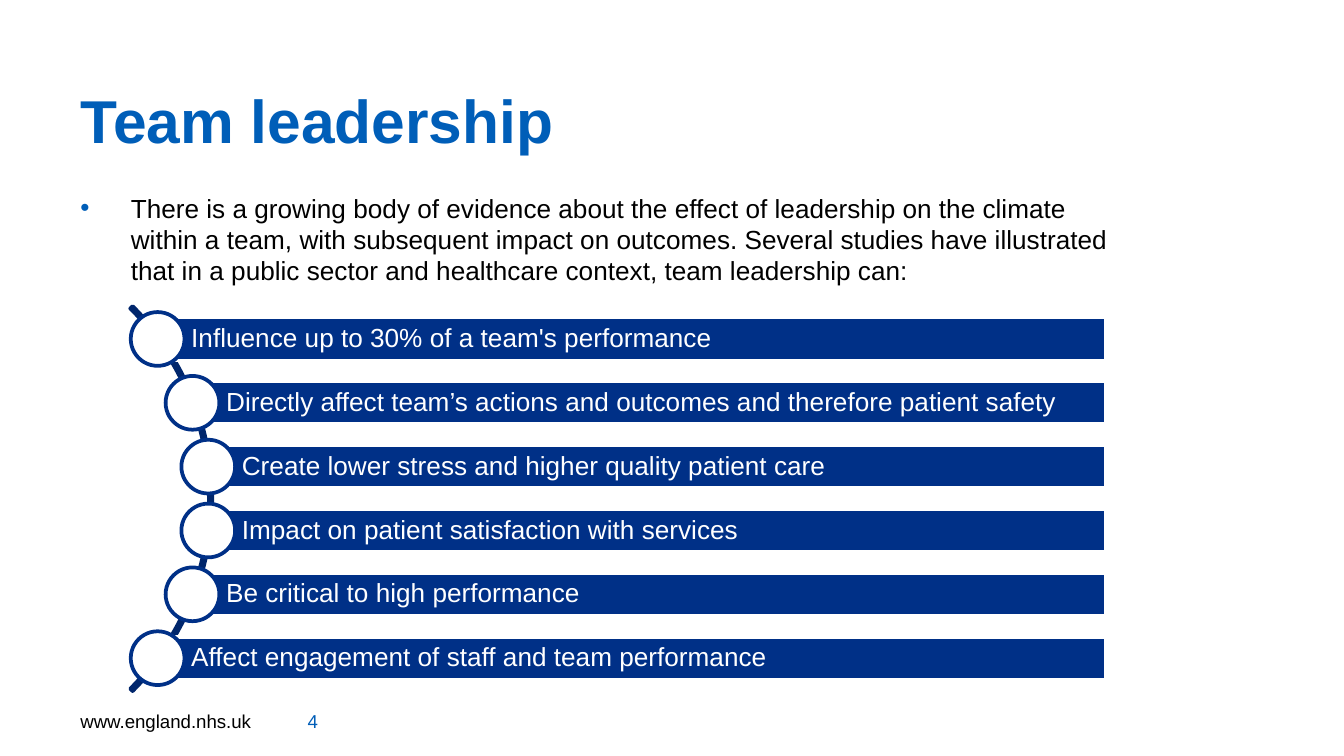
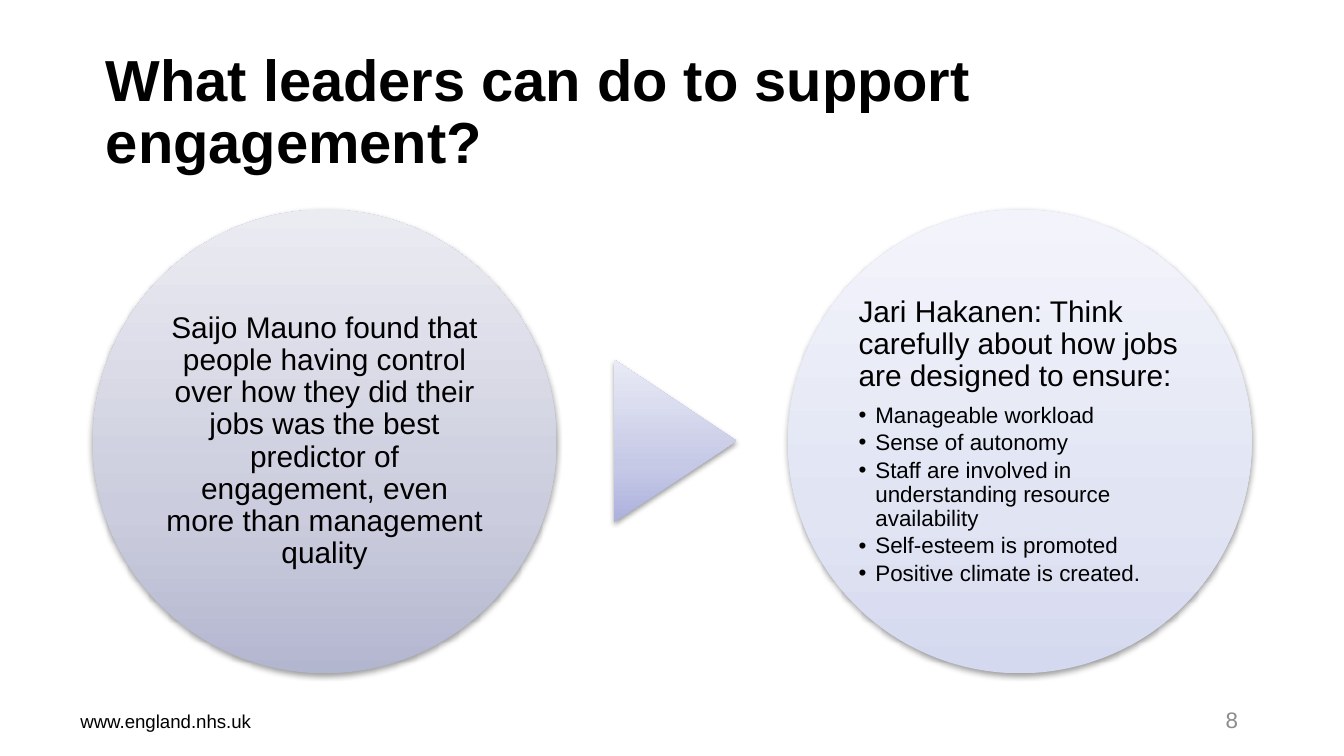
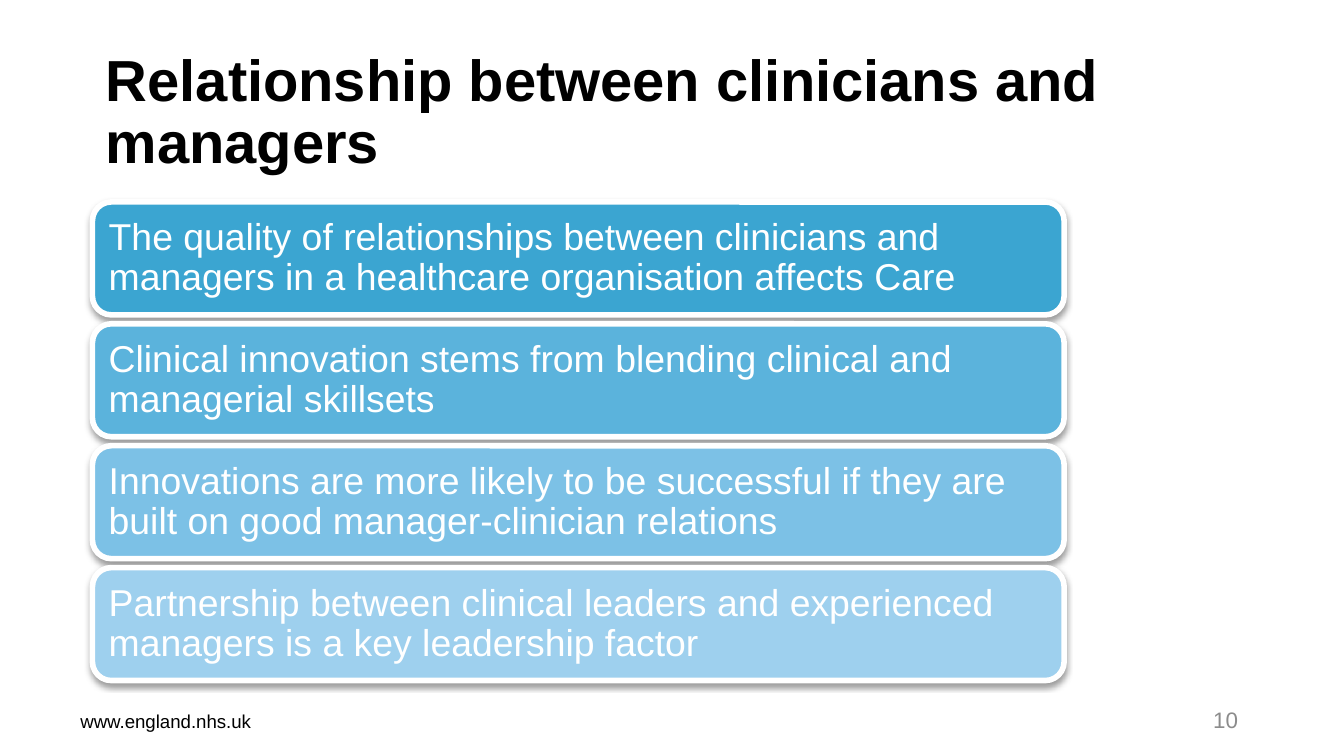
"""Build three slides on team leadership, engagement and clinician-manager relations."""
import dataclasses
import math

import lxml.etree
import pptx
import pptx.dml.color
import pptx.enum.shapes
import pptx.enum.text
import pptx.oxml
import pptx.oxml.ns
import pptx.util

SHAPES = pptx.enum.shapes.MSO_SHAPE
ALIGN = pptx.enum.text.PP_ALIGN
ANCHOR = pptx.enum.text.MSO_ANCHOR
SLIDE_WIDTH = pptx.util.Inches(10)
SLIDE_HEIGHT = pptx.util.Emu(SLIDE_WIDTH * 9 // 16)
COLUMNS = 100
TITLE_ONLY = 5


@dataclasses.dataclass(frozen=True)
class Theme:
    """Colours and type sizes of the deck."""
    font: str = "Arial"
    black: str = "000000"
    white: str = "FFFFFF"
    blue: str = "005EB8"
    navy: str = "003087"
    arc: str = "00266C"
    grey: str = "8C8C8C"
    slate: tuple = ("B3B6CF", "CBCCDD", "EBECF2")
    lilac: tuple = ("ACB1DD", "C6C9E6", "E9EAF6")
    mist: tuple = ("D5D9EF", "E1E4F3", "F3F4FB")
    steps: tuple = ("3BA5D1", "5BB3DC", "7CC1E6", "9ED0EE")
    lead_title: float = 32.4
    title: float = 31
    panel: float = 20
    circle: float = 16
    body: float = 14
    detail: float = 12
    footer: float = 10


THEME = Theme()


def grid(columns):
    """Turn grid columns, each a hundredth of the slide's width, into a length."""
    return pptx.util.Emu(round(SLIDE_WIDTH * columns / COLUMNS))


def rgb(colour):
    """Turn a hex string into a colour."""
    return pptx.dml.color.RGBColor.from_string(colour)


def style_paragraph(paragraph, size, colour, align=ALIGN.LEFT, spacing=None, bold=False):
    """Set the alignment, line spacing and font of a paragraph."""
    paragraph.alignment = align
    if spacing:
        paragraph.line_spacing = spacing
    font = paragraph.font
    font.name, font.size, font.bold = THEME.font, pptx.util.Pt(size), bold
    font.color.rgb = rgb(colour)


def add_bullet(paragraph, indent, colour):
    """Give a paragraph a hanging bullet."""
    properties = paragraph._p.get_or_add_pPr()
    properties.set("marL", str(grid(indent)))
    properties.set("indent", str(-grid(indent)))
    bullet_colour = lxml.etree.SubElement(properties, pptx.oxml.ns.qn("a:buClr"))
    lxml.etree.SubElement(bullet_colour, pptx.oxml.ns.qn("a:srgbClr"), val=colour)
    lxml.etree.SubElement(properties, pptx.oxml.ns.qn("a:buFont"), typeface=THEME.font)
    lxml.etree.SubElement(properties, pptx.oxml.ns.qn("a:buChar"), char="•")


def set_frame(shape, text, insets=(1, 0.5, 1, 0.5), anchor=ANCHOR.MIDDLE):
    """Fill a shape's text frame and return its first paragraph."""
    frame = shape.text_frame
    frame.word_wrap = True
    frame.auto_size = pptx.enum.text.MSO_AUTO_SIZE.NONE
    frame.vertical_anchor = anchor
    (frame.margin_left, frame.margin_top,
     frame.margin_right, frame.margin_bottom) = map(grid, insets)
    frame.text = text
    return frame.paragraphs[0]


def add_text(slide, box, text, anchor=ANCHOR.MIDDLE):
    """Add a text box and return its first paragraph."""
    return set_frame(slide.shapes.add_textbox(*map(grid, box)), text, anchor=anchor)


def add_shape(slide, kind, box, fill=None, line=None, line_width=2):
    """Add a flat preset shape."""
    shape = slide.shapes.add_shape(kind, *map(grid, box))
    shape.shadow.inherit = False
    if fill:
        shape.fill.solid()
        shape.fill.fore_color.rgb = rgb(fill)
    else:
        shape.fill.background()
    if line:
        shape.line.color.rgb = rgb(line)
        shape.line.width = pptx.util.Pt(line_width)
    else:
        shape.line.fill.background()
    return shape


def add_shadow(shape):
    """Give a shape a soft shadow below it."""
    effects = shape._element.spPr.find(pptx.oxml.ns.qn("a:effectLst"))
    effects.append(pptx.oxml.parse_xml(
        f'<a:outerShdw {pptx.oxml.ns.nsdecls("a")} blurRad="{pptx.util.Pt(3.1)}" '
        f'dist="{pptx.util.Pt(1.6)}" dir="5400000" rotWithShape="0">'
        f'<a:srgbClr val="{THEME.black}"><a:alpha val="38000"/></a:srgbClr></a:outerShdw>'))


def add_gradient_shape(slide, kind, box, colours):
    """Add a shadowed shape shaded from bottom to top."""
    shape = add_shape(slide, kind, box)
    stops = "".join(f'<a:gs pos="{share * 1000}"><a:srgbClr val="{colour}"/></a:gs>'
                    for share, colour in zip((0, 35, 100), colours))
    properties = shape._element.spPr
    properties.replace(properties.find(pptx.oxml.ns.qn("a:noFill")), pptx.oxml.parse_xml(
        f'<a:gradFill {pptx.oxml.ns.nsdecls("a")} rotWithShape="0"><a:gsLst>{stops}</a:gsLst>'
        '<a:lin ang="16200000" scaled="0"/></a:gradFill>'))
    add_shadow(shape)
    return shape


def add_slide(presentation, title, box=(6.88, 3, 86.25, 10.9), size=THEME.title,
              colour=THEME.black, spacing=0.9):
    """Add a slide with its title and the web address in the footer."""
    slide = presentation.slides.add_slide(presentation.slide_layouts[TITLE_ONLY])
    heading = slide.shapes.title
    heading.left, heading.top, heading.width, heading.height = map(grid, box)
    style_paragraph(set_frame(heading, title), size, colour, spacing=spacing, bold=True)
    address = add_text(slide, (5, 52.15, 23.3, 3), "www.england.nhs.uk")
    style_paragraph(address, THEME.footer, THEME.black)
    return slide


def add_number(slide, number):
    """Add a grey slide number at the right."""
    paragraph = add_text(slide, (70.6, 52.15, 22.5, 3), number)
    style_paragraph(paragraph, THEME.detail, THEME.grey, ALIGN.RIGHT, 0.9)


def add_curved_list(slide, items):
    """Add bars whose round markers follow an arc."""
    arc_size, arc_left, arc_top = 40.5, -24.7, 16.85
    arc = add_shape(slide, SHAPES.BLOCK_ARC, (arc_left, arc_top, arc_size, arc_size),
                    line=THEME.arc)
    for index, value in enumerate((189, 27, 0.006)):
        arc.adjustments[index] = value
    centre_x, centre_y, radius = -4.36, arc_top + arc_size / 2, 20
    pitch, bar_height, marker, right = 4.75, 3.2, 4, 82.3
    for index, item in enumerate(items):
        offset = (index - (len(items) - 1) / 2) * pitch
        x = centre_x + math.sqrt(radius ** 2 - offset ** 2)
        y = centre_y + offset
        bar = add_shape(slide, SHAPES.RECTANGLE,
                        (x, y - bar_height / 2, right - x, bar_height),
                        THEME.navy, THEME.white)
        style_paragraph(set_frame(bar, item, (2.5, 0.4, 0.4, 0.4)),
                        THEME.body, THEME.white, spacing=0.9)
        add_shape(slide, SHAPES.OVAL, (x - marker / 2, y - marker / 2, marker, marker),
                  THEME.white, THEME.navy)


def add_circle(slide, left, colours, text, align, details=()):
    """Add a large shaded circle with a statement and bulleted details."""
    circle = add_gradient_shape(slide, SHAPES.OVAL, (left, 15.6, 34.5, 34.5), colours)
    statement = set_frame(circle, text, (0.2, 0.2, 0.2, 0.2))
    style_paragraph(statement, THEME.circle, THEME.black, align, 0.9)
    if details:
        statement.space_after = pptx.util.Pt(THEME.circle * 0.35)
    for detail in details:
        paragraph = circle.text_frame.add_paragraph()
        paragraph.text = detail
        paragraph.level = 1
        add_bullet(paragraph, 1.25, THEME.black)
        paragraph.space_after = pptx.util.Pt(THEME.detail * 0.15)
        style_paragraph(paragraph, THEME.detail, THEME.black, spacing=0.9)


def add_panels(slide, items):
    """Add a stack of rounded panels that grow lighter downwards."""
    for index, (item, colour) in enumerate(zip(items, THEME.steps)):
        panel = add_shape(slide, SHAPES.ROUNDED_RECTANGLE,
                          (6.88, 15.03 + index * 9.07, 72.3, 8.4), colour, THEME.white, 3)
        add_shadow(panel)
        style_paragraph(set_frame(panel, item, (0.8, 0.8, 0.8, 0.8)),
                        THEME.panel, THEME.white, spacing=0.9)


def build_leadership(presentation):
    """Build the slide on the effects of team leadership."""
    slide = add_slide(presentation, "Team leadership", (5, 6.15, 80.5, 5.5),
                      THEME.lead_title, THEME.blue, None)
    evidence = add_text(
        slide, (5, 13.8, 80.5, 32.4),
        "There is a growing body of evidence about the effect of leadership on the climate "
        "within a team, with subsequent impact on outcomes. Several studies have illustrated "
        "that in a public sector and healthcare context, team leadership can:", ANCHOR.TOP)
    add_bullet(evidence, 3.75, THEME.blue)
    style_paragraph(evidence, THEME.body, THEME.black)
    number = add_text(slide, (21.9, 52.15, 23.3, 3), "4")
    style_paragraph(number, THEME.footer, THEME.blue)
    add_curved_list(slide, (
        "Influence up to 30% of a team's performance",
        "Directly affect team’s actions and outcomes and therefore patient safety",
        "Create lower stress and higher quality patient care",
        "Impact on patient satisfaction with services",
        "Be critical to high performance",
        "Affect engagement of staff and team performance"))


def build_engagement(presentation):
    """Build the slide on what supports engagement."""
    slide = add_slide(presentation, "What leaders can do to support engagement?")
    add_circle(slide, 6.9, THEME.slate,
               "Saijo Mauno found that people having control over how they did their jobs was "
               "the best predictor of engagement, even more than management quality",
               ALIGN.CENTER)
    arrow = add_gradient_shape(slide, SHAPES.ISOSCELES_TRIANGLE, (44.2, 28.25, 12.1, 9.1),
                               THEME.lilac)
    arrow.rotation = 90
    add_circle(slide, 58.63, THEME.mist,
               "Jari Hakanen: Think carefully about how jobs are designed to ensure:",
               ALIGN.LEFT,
               ("Manageable workload", "Sense of autonomy",
                "Staff are involved in understanding resource availability",
                "Self-esteem is promoted", "Positive climate is created."))
    add_number(slide, "8")


def build_relationship(presentation):
    """Build the slide on clinicians and managers."""
    slide = add_slide(presentation, "Relationship between clinicians and managers")
    add_panels(slide, (
        "The quality of relationships between clinicians and managers in a healthcare "
        "organisation affects Care",
        "Clinical innovation stems from blending clinical and managerial skillsets",
        "Innovations are more likely to be successful if they are built on good "
        "manager-clinician relations",
        "Partnership between clinical leaders and experienced managers is a key "
        "leadership factor"))
    add_number(slide, "10")


def main():
    """Build and save the deck."""
    presentation = pptx.Presentation()
    presentation.slide_width = SLIDE_WIDTH
    presentation.slide_height = SLIDE_HEIGHT
    build_leadership(presentation)
    build_engagement(presentation)
    build_relationship(presentation)
    presentation.save("out.pptx")


if __name__ == "__main__":
    main()
